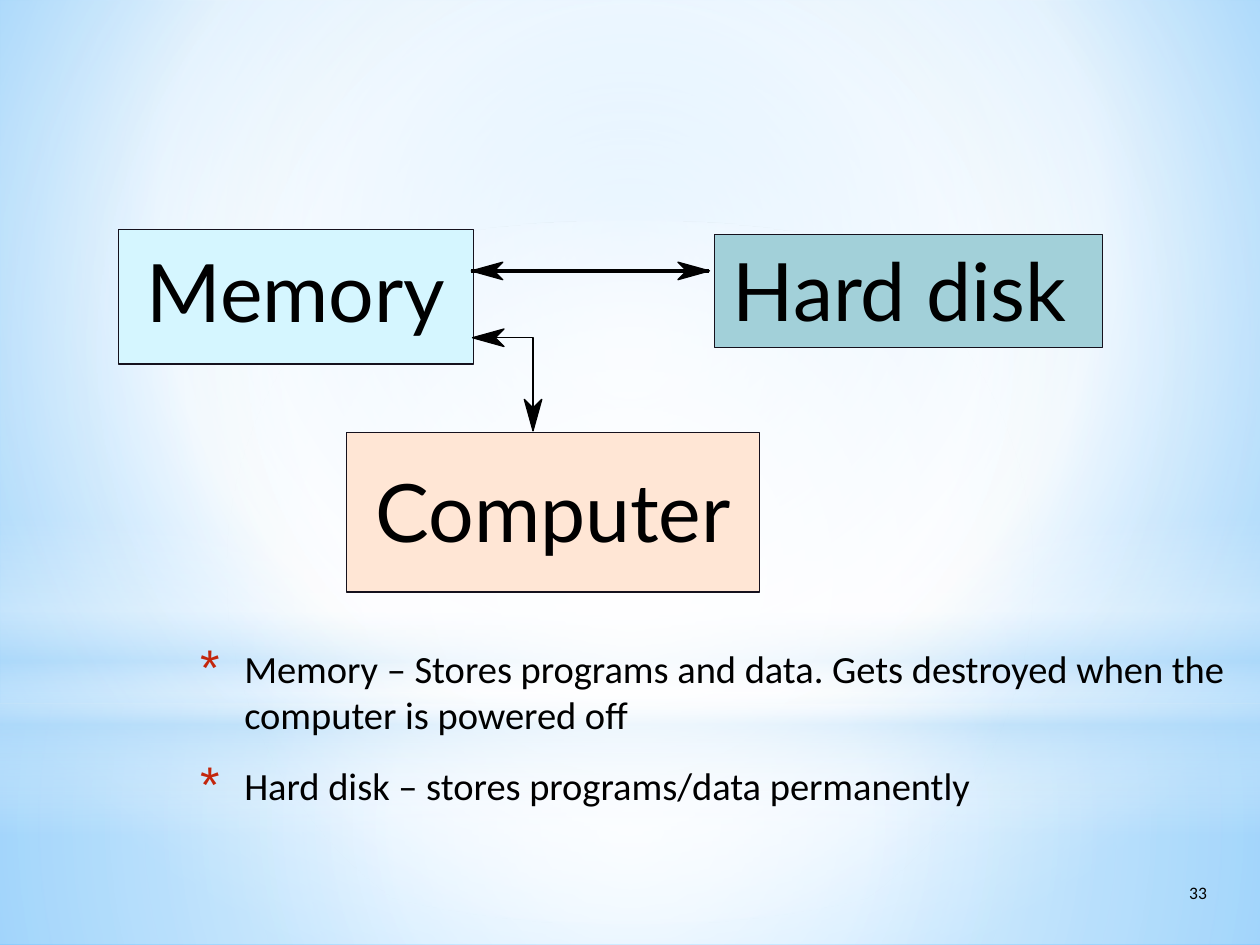
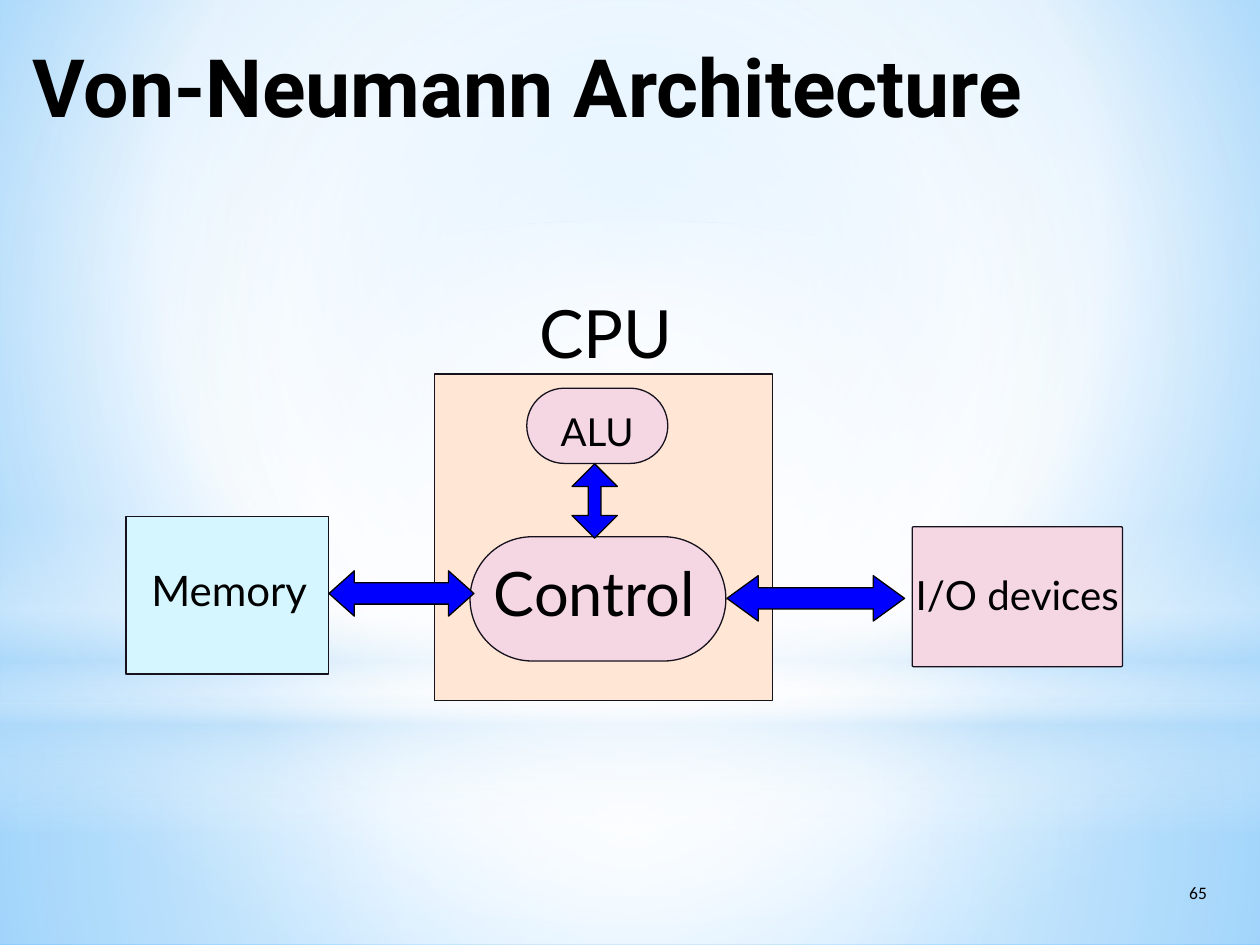
from collections import namedtuple
from dataclasses import dataclass

from lxml import etree
from pptx import Presentation
from pptx.dml.color import RGBColor
from pptx.enum.shapes import MSO_CONNECTOR, MSO_SHAPE
from pptx.enum.text import MSO_ANCHOR, PP_ALIGN
from pptx.oxml.ns import qn
from pptx.util import Pt

RECT, ROUNDED, OVAL = MSO_SHAPE.RECTANGLE, MSO_SHAPE.ROUNDED_RECTANGLE, MSO_SHAPE.OVAL
ACROSS, UPRIGHT = MSO_SHAPE.LEFT_RIGHT_ARROW, MSO_SHAPE.UP_DOWN_ARROW
STRAIGHT = MSO_CONNECTOR.STRAIGHT
LEFT, CENTER, RIGHT = PP_ALIGN.LEFT, PP_ALIGN.CENTER, PP_ALIGN.RIGHT
TOP, MIDDLE = MSO_ANCHOR.TOP, MSO_ANCHOR.MIDDLE
TITLE_AND_CONTENT, TITLE_ONLY = 1, 5

Box = namedtuple("Box", "x y w h")


@dataclass(frozen=True)
class Theme:
    text: str = "000000"
    outline: str = "15111D"
    arrow: str = "0000FF"
    bullet: str = "C3260C"
    memory: str = "D5F6FF"
    processor: str = "FFE6D5"
    disk: str = "A2D0D9"
    unit: str = "F4D7E3"
    white: str = "FFFFFF"
    sky: str = "B4DCFA"
    sky_inner: str = "9ED5FF"
    sky_outer: str = "5BB9FF"
    title_font: str = "Roboto"
    body_font: str = "Calibri"
    label_font: str = "Lato"
    title_size: float = 46
    body_size: float = 22
    number_size: float = 10


THEME = Theme()
PAGE = Box(0, 0, 720, 540)


# Basic helpers
def within(box, x, y, w, h):
    return Box(box.x + x, box.y + y, w, h)


def points(box):
    return [Pt(value) for value in box]


def place(shape, box):
    shape.left, shape.top, shape.width, shape.height = points(box)


def write_text(frame, text, *, size, font=THEME.label_font, color=THEME.text, bold=False,
               align=LEFT, anchor=TOP, wrap=True, insets=(0, 0, 0, 0), after=0):
    frame.text = text
    frame.word_wrap = wrap
    frame.vertical_anchor = anchor
    (frame.margin_left, frame.margin_top,
     frame.margin_right, frame.margin_bottom) = [Pt(inset) for inset in insets]
    for paragraph in frame.paragraphs:
        paragraph.alignment = align
        paragraph.space_before, paragraph.space_after = Pt(0), Pt(after)
        for run in paragraph.runs:
            run.font.size, run.font.name, run.font.bold = Pt(size), font, bold
            run.font.color.rgb = RGBColor.from_string(color)


def child(parent, tag, **attributes):
    return etree.SubElement(parent, qn(tag), {k: str(v) for k, v in attributes.items()})


def add_bullet(paragraph, indent, hanging):
    properties = paragraph._p.get_or_add_pPr()
    properties.set("marL", str(Pt(indent)))
    properties.set("indent", str(-Pt(hanging)))
    child(child(properties, "a:buClr"), "a:srgbClr", val=THEME.bullet)
    child(properties, "a:buSzPct", val=130000)
    child(properties, "a:buChar", char="*")


def paint_gradient(fill, stops, focus=None):
    """Stops are (position, colour, opacity) in percent; without a focus the fill runs downwards."""
    fill.solid()
    solid = fill._xPr.find(qn("a:solidFill"))
    gradient = etree.Element(qn("a:gradFill"), rotWithShape="1")
    stop_list = child(gradient, "a:gsLst")
    for position, color, opacity in stops:
        stop = child(stop_list, "a:gs", pos=position * 1000)
        child(child(stop, "a:srgbClr", val=color), "a:alpha", val=opacity * 1000)
    if focus:
        sides = {side: value * 1000 for side, value in zip("ltrb", focus)}
        child(child(gradient, "a:path", path="circle"), "a:fillToRect", **sides)
    else:
        child(gradient, "a:lin", ang=5400000, scaled=0)
    solid.getparent().replace(solid, gradient)


def style(shape, fill=None, outline=THEME.outline):
    shape.shadow.inherit = False
    if fill:
        shape.fill.solid()
        shape.fill.fore_color.rgb = RGBColor.from_string(fill)
    else:
        shape.fill.background()
    shape.line.color.rgb = RGBColor.from_string(outline)
    shape.line.width = Pt(0)


def add_block(slide, box, fill, text="", size=0, kind=RECT, adjust=(), nudge=(0, 0),
              outline=THEME.outline):
    """Draw a filled preset; nudge moves its centred label."""
    block = slide.shapes.add_shape(kind, *points(box))
    for index, value in enumerate(adjust):
        block.adjustments[index] = value
    style(block, fill, outline)
    if text:
        dx, dy = nudge
        insets = [max(0, 2 * shift) for shift in (dx, dy, -dx, -dy)]
        write_text(block.text_frame, text, size=size, align=CENTER, anchor=MIDDLE,
                   wrap=False, insets=insets)


def add_outline(slide, box, corners, fill=None):
    start, *rest = [(Pt(box.x + x), Pt(box.y + y)) for x, y in corners]
    builder = slide.shapes.build_freeform(*start)
    builder.add_line_segments(rest, close=bool(fill))
    style(builder.convert_to_shape(), fill, THEME.text)


def add_arrowhead(slide, box, tip, direction):
    (x, y), (dx, dy) = tip, direction
    corners = [(x - dx * back - dy * side, y - dy * back + dx * side)
               for back, side in ((13, 0), (18, 5), (0, 0), (18, -5))]
    add_outline(slide, box, corners, THEME.text)


# Shared parts
def add_backdrop(master, slide):
    """Draw the background bands and move them to the master."""
    t = THEME
    paint_gradient(master.background.fill,
                   [(0, t.sky_inner, 100), (60, t.white, 100), (100, t.sky_outer, 100)],
                   focus=(20, 10, 20, 60))
    middle = (50, 50, 50, 50)
    horizon = 402
    bands = [
        (RECT, Box(0, horizon, PAGE.w, PAGE.h - horizon), middle,
         [(0, t.white, 91), (37, t.white, 76), (100, t.sky, 79)]),
        (RECT, Box(0, 0, PAGE.w, horizon), middle,
         [(0, t.white, 89), (48, t.white, 62), (100, t.sky, 79)]),
        (RECT, Box(0, 296.6, PAGE.w, 180), None,
         [(0, t.white, 0), (29, t.white, 30), (45, t.sky, 40),
          (55, t.white, 26), (65, t.sky, 60), (100, t.white, 0)]),
        (OVAL, Box(0, 126, PAGE.w, horizon), middle,
         [(0, t.white, 100), (56, t.white, 0)]),
    ]
    for shape_id, (kind, box, focus, stops) in enumerate(bands, start=100):
        band = slide.shapes.add_shape(kind, *points(box))
        band.shadow.inherit = False
        band.line.fill.background()
        paint_gradient(band.fill, stops, focus)
        band._element.nvSpPr.cNvPr.set("id", str(shape_id))
        master.shapes._spTree.append(band._element)


def add_page_number(slide, number):
    holder = slide.shapes.add_textbox(*points(Box(672.5, 500.4, 44, 28.8)))
    write_text(holder.text_frame, str(number), size=THEME.number_size,
               font=THEME.body_font, insets=(7.2, 3.6, 7.2, 3.6))


# Storage slide
def add_storage_diagram(slide, box):
    size = 46
    add_block(slide, within(box, 340.5, 2.9, 221.8, 64.8), THEME.disk, "Hard disk", size,
              nudge=(-5, -1))
    add_block(slide, within(box, 130.3, 116, 236.2, 91.4), THEME.processor, "Computer", size,
              nudge=(0, -1))
    add_block(slide, within(box, 0, 0, 203, 77), THEME.memory, "Memory", size,
              nudge=(0, -3.8))

    # Memory to computer
    memory_end, corner, computer_end = (202.3, 62), (236.9, 62), (236.9, 115.2)
    add_outline(slide, box, [memory_end, corner, computer_end])
    add_arrowhead(slide, box, memory_end, (-1, 0))
    add_arrowhead(slide, box, computer_end, (0, 1))

    # Memory to hard disk
    start, end = (201.6, 23.8), (337.7, 23.8)
    link = slide.shapes.add_connector(
        STRAIGHT, *[Pt(v) for x, y in (start, end) for v in (box.x + x, box.y + y)])
    link.line.color.rgb = RGBColor.from_string(THEME.text)
    link.line.width = Pt(0)
    child(link._element.spPr, "a:effectLst")
    add_arrowhead(slide, box, start, (-1, 0))
    add_arrowhead(slide, box, end, (1, 0))


def add_storage_notes(body, box):
    place(body, box)
    notes = ("Memory – Stores programs and data. Gets destroyed when the computer is powered off",
             "Hard disk – stores programs/data permanently")
    write_text(body.text_frame, "\n".join(notes), size=THEME.body_size,
               font=THEME.body_font, after=14.1)
    for paragraph in body.text_frame.paragraphs:
        add_bullet(paragraph, indent=33.8, hanging=25.2)


def build_storage_slide(slide):
    title = slide.shapes.title._element
    title.getparent().remove(title)
    add_storage_notes(slide.placeholders[1], Box(105.8, 368.6, 614.2, 126))
    add_storage_diagram(slide, Box(67.7, 131, 562.3, 207.4))
    add_page_number(slide, 33)


# Architecture slide
def add_architecture_diagram(slide, box):
    # Processor with its units
    add_block(slide, within(box, 176.4, 46.8, 193, 186.5), THEME.processor)
    caption = slide.shapes.add_textbox(*points(within(box, 236.2, 0, 97, 50)))
    write_text(caption.text_frame, "CPU", size=38)
    add_block(slide, within(box, 196.6, 139.7, 146.2, 71), THEME.unit, "Control", 35,
              kind=ROUNDED, adjust=[0.5], nudge=(-2, -3.9))
    add_block(slide, within(box, 229, 54.8, 80.6, 43), THEME.unit, "ALU", 22,
              kind=ROUNDED, adjust=[0.5], nudge=(0, 3))

    # Memory and devices
    add_block(slide, within(box, 0, 128.2, 115.9, 90), THEME.memory, "Memory", 24,
              nudge=(1, -3.2))
    add_block(slide, within(box, 449.3, 134, 120.2, 80), THEME.unit, "I/O devices", 23,
              kind=ROUNDED, adjust=[0.01], nudge=(0, -1.3))

    # Data paths: kind, place, head length relative to the arrow's breadth
    breadth = 25.9
    for kind, place_in_box, head in (
            (ACROSS, (343.4, 162, 101.5, breadth), 0.69),
            (ACROSS, (116, 159.2, 82.8, breadth), 0.56),
            (UPRIGHT, (254.9, 98, breadth, 42.5), 0.28)):
        add_block(slide, within(box, *place_in_box), THEME.arrow, kind=kind,
                  adjust=[0.47, head], outline=THEME.text)


def build_architecture_slide(slide):
    title = slide.shapes.title
    place(title, Box(0, 12.2, 583.9, 73.4))
    write_text(title.text_frame, "Von-Neumann Architecture", size=THEME.title_size,
               font=THEME.title_font, bold=True, align=RIGHT, anchor=MIDDLE)
    add_architecture_diagram(slide, Box(72, 167, 569.5, 233.3))
    add_page_number(slide, 65)


def main():
    deck = Presentation()
    deck.slide_width, deck.slide_height = Pt(PAGE.w), Pt(PAGE.h)
    storage = deck.slides.add_slide(deck.slide_layouts[TITLE_AND_CONTENT])
    architecture = deck.slides.add_slide(deck.slide_layouts[TITLE_ONLY])
    add_backdrop(deck.slide_master, storage)
    build_storage_slide(storage)
    build_architecture_slide(architecture)
    deck.save("out.pptx")


if __name__ == "__main__":
    main()
